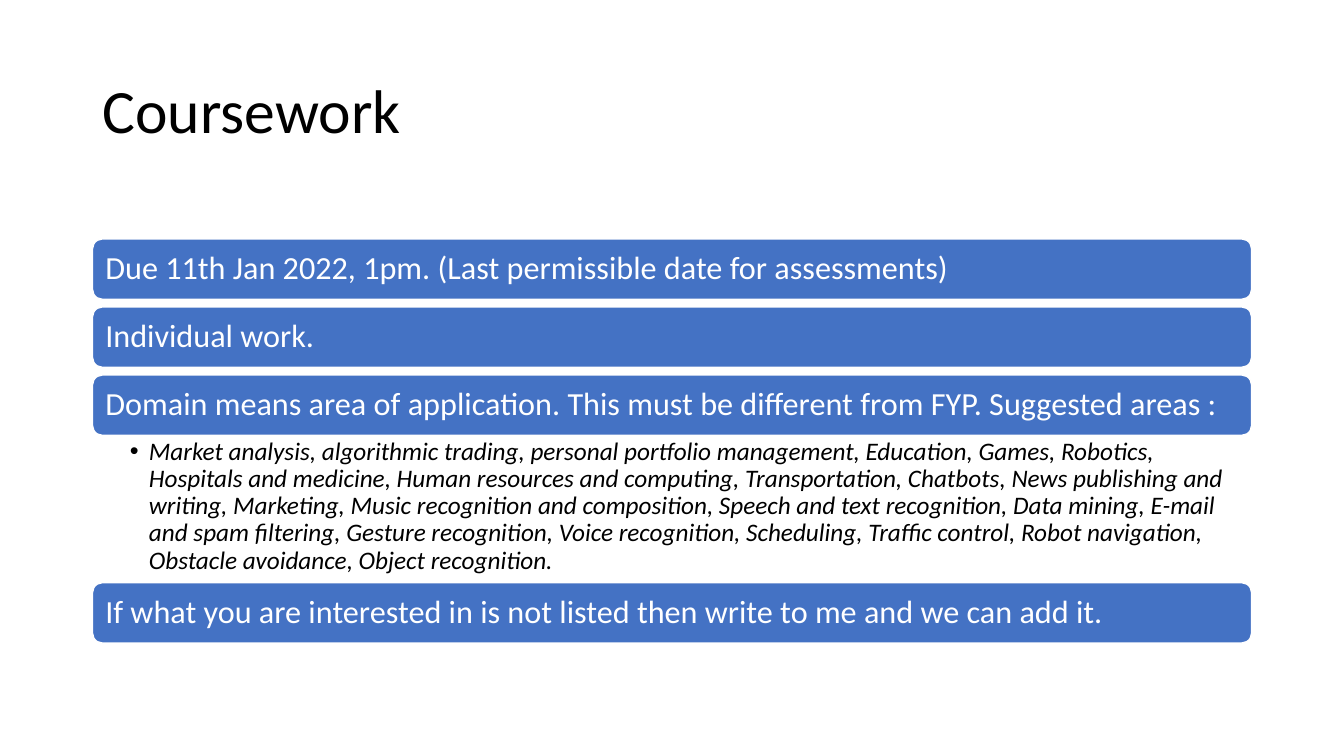
from dataclasses import dataclass

from lxml.etree import SubElement
from pptx import Presentation
from pptx.dml.color import RGBColor
from pptx.enum.shapes import MSO_SHAPE
from pptx.enum.text import MSO_ANCHOR, MSO_AUTO_SIZE, PP_ALIGN
from pptx.oxml.ns import qn
from pptx.util import Inches, Pt


@dataclass(frozen=True)
class Theme:
    font: str = "Calibri"
    ink: str = "000000"
    paper: str = "FFFFFF"
    blue: str = "4472C4"
    head: int = 44
    bar: int = 23
    note: int = 18


class Deck:
    """Places elements on a slide, with lengths in percent of its size."""

    left, wide = 6.88, 86.25

    def __init__(self, theme):
        self.theme = theme
        self.show = Presentation()
        self.show.slide_width = Inches(13.33)
        self.show.slide_height = Inches(7.5)
        self.slide = self.show.slides.add_slide(self.show.slide_layouts[5])

    def area(self, top, tall):
        across, down = self.show.slide_width / 100, self.show.slide_height / 100
        return (int(self.left * across), int(top * down),
                int(self.wide * across), int(tall * down))

    def label(self, shape, text, size, color, inset, anchor, slant=False):
        frame = shape.text_frame
        frame.word_wrap = True
        frame.auto_size = MSO_AUTO_SIZE.NONE
        frame.vertical_anchor = anchor
        (frame.margin_left, frame.margin_top,
         frame.margin_right, frame.margin_bottom) = map(Inches, inset)
        para = frame.paragraphs[0]
        para.alignment = PP_ALIGN.LEFT
        para.line_spacing = 0.9
        run = para.add_run()
        run.text = text
        run.font.name = self.theme.font
        run.font.size = Pt(size)
        run.font.italic = slant
        run.font.color.rgb = RGBColor.from_string(color)
        return para

    def title(self, text, top, tall):
        shape = self.slide.shapes.title
        shape.left, shape.top, shape.width, shape.height = self.area(top, tall)
        self.label(shape, text, self.theme.head, self.theme.ink,
                   (0.1, 0.05, 0.1, 0.05), MSO_ANCHOR.MIDDLE)

    def bar(self, text, top, tall):
        shape = self.slide.shapes.add_shape(
            MSO_SHAPE.ROUNDED_RECTANGLE, *self.area(top, tall))
        shape.shadow.inherit = False
        shape.fill.solid()
        shape.fill.fore_color.rgb = RGBColor.from_string(self.theme.blue)
        shape.line.color.rgb = RGBColor.from_string(self.theme.paper)
        shape.line.width = Pt(1)
        self.label(shape, text, self.theme.bar, self.theme.paper,
                   (0.1, 0.07, 0.1, 0.07), MSO_ANCHOR.MIDDLE)

    def note(self, text, top, tall):
        shape = self.slide.shapes.add_textbox(*self.area(top, tall))
        para = self.label(shape, text, self.theme.note, self.theme.ink,
                          (0.37, 0.03, 0.18, 0.03), MSO_ANCHOR.TOP, True)
        # Hanging bullet
        props = para._p.get_or_add_pPr()
        props.set("marL", str(Inches(0.19)))
        props.set("indent", str(-Inches(0.19)))
        SubElement(props, qn("a:buFont")).set("typeface", "Arial")
        SubElement(props, qn("a:buChar")).set("char", "•")


AREAS = (
    "Market analysis, algorithmic trading, personal portfolio management, "
    "Education, Games, Robotics, Hospitals and medicine, Human resources and "
    "computing, Transportation, Chatbots, News publishing and writing, "
    "Marketing, Music recognition and composition, Speech and text "
    "recognition, Data mining, E-mail and spam filtering, Gesture "
    "recognition, Voice recognition, Scheduling, Traffic control, Robot "
    "navigation, Obstacle avoidance, Object recognition."
)


def main():
    deck = Deck(Theme())
    deck.title("Coursework", 5.33, 19.33)

    # Stack of bars and notes: kind, text, height, gap below
    stack = (
        (deck.bar, "Due 11th Jan 2022, 1pm. (Last permissible date for "
                   "assessments)", 8, 1),
        (deck.bar, "Individual work.", 8, 1),
        (deck.bar, "Domain means area of application. This must be different "
                   "from FYP. Suggested areas :", 8, 0),
        (deck.note, AREAS, 19.47, 0),
        (deck.bar, "If what you are interested in is not listed then write to "
                   "me and we can add it.", 8, 0),
    )
    top = 31.6
    for draw, text, tall, gap in stack:
        draw(text, top, tall)
        top += tall + gap

    deck.show.save("out.pptx")


if __name__ == "__main__":
    main()
